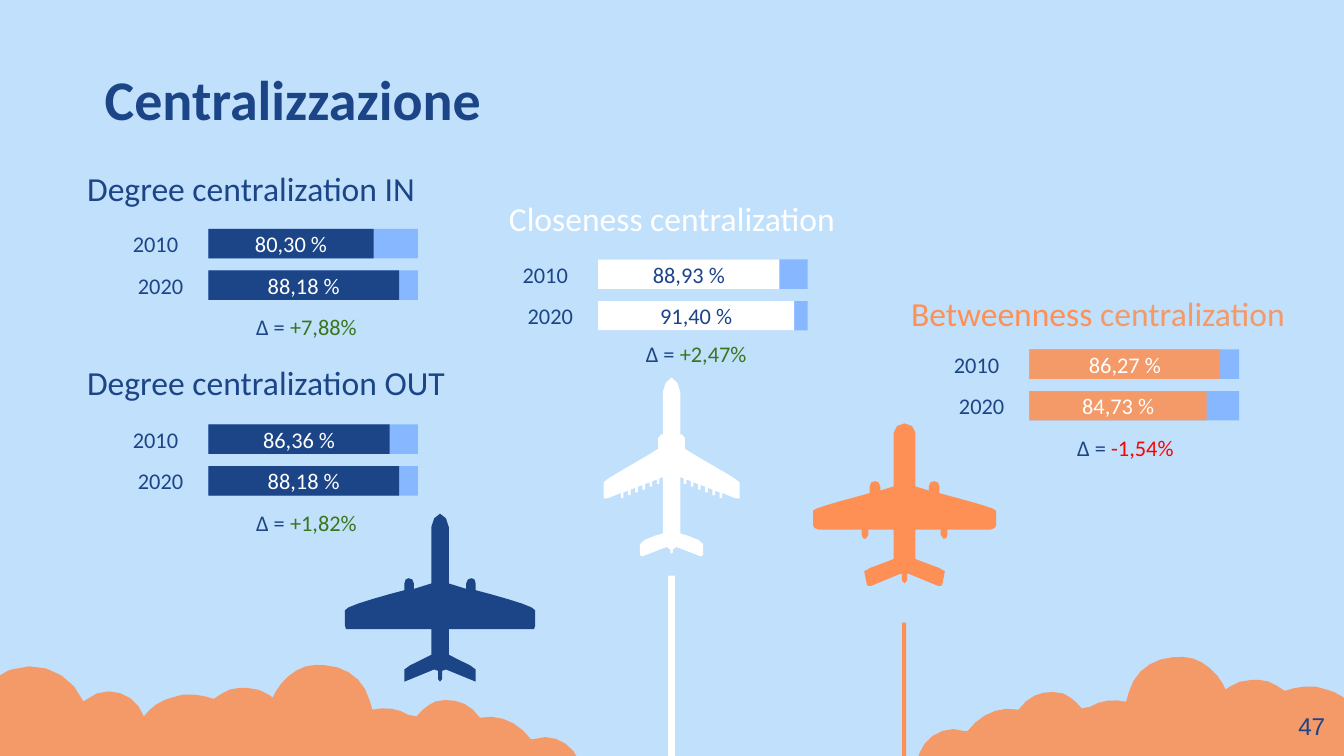
from math import cos, dist, radians, sin

from pptx import Presentation
from pptx.dml.color import RGBColor
from pptx.enum.shapes import MSO_SHAPE
from pptx.enum.text import MSO_ANCHOR, PP_ALIGN
from pptx.util import Pt

SKY, NAVY, WHITE = "C1E0FB", "1C4587", "FFFFFF"
ORANGE, PEACH, TRACK = "FF9055", "F49968", "87B7FF"
GREEN, RED = "38761D", "FF0000"
BAR_WIDTH, BAR_HEIGHT, BAR_STEP = 112.3, 15.8, 22.3

ORANGE_HALF = [
    (0, 0), (2.9, 0, 5.8, 2.2, 5.8, 5), (5.8, 33.8), (13, 36),
    (13, 33.8), (13, 31.7, 14.4, 31, 15.8, 31), (17.3, 31, 18.7, 31.7, 18.7, 33.8),
    (18.7, 37.4), (31.7, 41, 49, 45.4, 49, 46.8), (49, 54.7),
    (49, 55.4, 48.2, 56.9, 46.1, 56.9), (23, 56.9), (23, 59.8),
    (22.3, 61.5), (20.9, 61.9), (19.4, 59.8), (19.4, 56.9), (5.8, 56.9), (5.8, 72.7),
    (10.8, 74.9, 20.9, 77.8, 21.6, 79.2), (20.2, 86.4), (19.4, 87.1),
    (18, 87.1), (2.2, 80.6), (1.4, 80.6), (1.4, 84.2), (0, 85.7),
]
NAVY_HALF = [
    (0, 0), (2.2, 0, 4.7, 4.3, 4.7, 7.2), (4.7, 37.4), (14, 40.3),
    (14, 37.4), (14, 35.3, 15.5, 34.6, 16.9, 34.6), (18, 34.6, 19.1, 35.3, 19.1, 37.4),
    (19.1, 41), (32.8, 44.6, 51, 49.7, 51, 51.8), (51, 59.8), (50.4, 61.9),
    (4.7, 61.9), (4.7, 75.6), (8.3, 77.8, 19.1, 82.1, 19.1, 83.5), (19.1, 90),
    (3.2, 83.5), (1.1, 84.2), (1.1, 88.6), (0, 90),
]
FLAPS = [
    (3.85 * i + dx, 1.5 * i + dy)
    for i in reversed(range(6))
    for dx, dy in [(7.9, 54.6), (7.9, 57), (6.5, 57), (6.5, 54)]
]
WHITE_HALF = [
    (0, 0), (2.2, 0, 4.7, 5, 4.7, 7.9), (4.7, 31), (5.4, 30.2), (7.2, 32.4),
    (7.2, 38.2), (15.8, 43.9, 36.4, 54.7, 36.4, 56.2), (36.4, 64.8),
    (35.3, 64.8, 33.1, 64.8, 31, 63.4), (27.4, 61.9), *FLAPS,
    (4.7, 53.3), (4.7, 83.5), (7.6, 84.2, 16.9, 87.1, 16.9, 89.3), (16.9, 95),
    (15.8, 95.8), (2.5, 90.7), (0.7, 92.2), (0.7, 93.6), (0, 94.3),
]
CLOUD = [
    (139.7, -39.2), (141.8, -38.5), (157, -32.8, 165.6, -15.5, 160.6, 0.4),
    (120.2, 123.5), (-151.2, 34.9), (-161.3, 31.3, -167, 20.5, -164.2, 10.4),
    (-160.6, 0.4, -149.8, -5.4, -139.7, -1.8), (-138.2, -1.8),
    (-131.8, -10.4, -121.7, -15.5, -110.9, -13.3), (-105.1, -22, -95.8, -24.1, -87.1, -22),
    (-83.5, -20.5, -79.9, -17.6, -77, -14), (-72.7, -14.8),
    (-67, -18.4, -59.8, -19.1, -53.3, -17.6), (-51.8, -22.7),
    (-49, -33.5, -39.6, -40.7, -28.1, -41.4), (-24.5, -42.1, -20.9, -41.4, -17.3, -40.7),
    (-10.8, -38.5, -5, -33.5, -1.4, -27), (0, -24.1), (2.2, -25.6),
    (5, -27.7, 9.4, -29.2, 13.7, -29.2), (16.6, -29.5, 20, -29.2, 23, -28.4),
    (25.9, -27, 28.8, -25.6, 31.7, -23.4), (36.7, -24.8), (41.8, -25.6),
    (46.1, -26.3, 50.4, -25.6, 54, -24.1), (59.8, -22.7, 65.5, -19.1, 69.1, -14),
    (72.7, -24.1, 83.5, -29.9, 94.3, -26.3), (101.5, -22),
    (108, -37.1, 124.6, -44.3, 139.7, -39.2),
]


def color(code):
    return RGBColor.from_string(code)


def paint(shape, fill):
    shape.shadow.inherit = False
    shape.fill.solid()
    shape.fill.fore_color.rgb = color(fill)
    shape.line.fill.background()
    return shape


def trace(outline):
    points = []
    for part in outline:
        if len(part) == 2:
            points.append(part)
            continue
        controls = [points[-1], part[:2], part[2:4], part[4:]]
        steps = max(2, min(5, round(dist(controls[0], controls[3]) / 5)))
        for step in range(1, steps + 1):
            t = step / steps
            weights = ((1 - t) ** 3, 3 * t * (1 - t) ** 2, 3 * t * t * (1 - t), t ** 3)
            points.append(tuple(
                sum(w * c[axis] for w, c in zip(weights, controls)) for axis in (0, 1)))
    return points


def add_outline(slide, points, x, y, fill):
    corners = [(Pt(x + dx), Pt(y + dy)) for dx, dy in points]
    builder = slide.shapes.build_freeform(*corners[0], scale=1.0)
    builder.add_line_segments(corners[1:], close=True)
    return paint(builder.convert_to_shape(), fill)


def add_plane(slide, half, axis, top, fill):
    right = trace(half)
    left = [(-dx, dy) for dx, dy in reversed(right)]
    add_outline(slide, right + left[1:-1], axis, top, fill)


def add_cloud(slide, x, y, side):
    tilt = 18 * side
    c, s = cos(radians(tilt)), sin(radians(tilt))
    mirrored = [(side * dx, dy) for dx, dy in trace(CLOUD)]
    level = [(dx * c + dy * s, dy * c - dx * s) for dx, dy in mirrored]
    add_outline(slide, level, x, y, PEACH).rotation = tilt


def add_block(slide, x, y, width, height, fill):
    block = slide.shapes.add_shape(
        MSO_SHAPE.RECTANGLE, Pt(x), Pt(y), Pt(width), Pt(height))
    return paint(block, fill)


def write(shape, *runs, size=12, font="Calibri", bold=False,
          align=PP_ALIGN.LEFT, anchor=MSO_ANCHOR.TOP):
    frame = shape.text_frame
    frame.word_wrap = True
    frame.vertical_anchor = anchor
    frame.margin_left = frame.margin_right = Pt(7.2)
    frame.margin_top = frame.margin_bottom = Pt(7.2)
    paragraph = frame.paragraphs[0]
    paragraph.alignment = align
    for words, ink in runs:
        run = paragraph.add_run()
        run.text = words
        run.font.size = Pt(size)
        run.font.name = font
        run.font.bold = bold
        run.font.color.rgb = color(ink)


def add_text(slide, box, *runs, **style):
    write(slide.shapes.add_textbox(*map(Pt, box)), *runs, **style)


def add_measure(slide, x, y, bars, fill, ink, change, change_ink, change_drop=38):
    for row, (year, share, width) in enumerate(bars):
        top = y + row * BAR_STEP
        add_block(slide, x, top, BAR_WIDTH, BAR_HEIGHT, TRACK)
        add_text(slide, (x - 55.4, top, 49, BAR_HEIGHT), (year, NAVY),
                 align=PP_ALIGN.RIGHT, anchor=MSO_ANCHOR.MIDDLE)
        write(add_block(slide, x, top, width, BAR_HEIGHT, fill), (share, ink),
              align=PP_ALIGN.CENTER, anchor=MSO_ANCHOR.MIDDLE)
    add_text(slide, (x + 18.5, y + change_drop, 75.6, 27.4),
             ("Δ = ", NAVY), (change, change_ink))


def main():
    deck = Presentation()
    deck.slide_width, deck.slide_height = Pt(720), Pt(405)
    slide = deck.slides.add_slide(deck.slide_layouts[6])
    slide.background.fill.solid()
    slide.background.fill.fore_color.rgb = color(SKY)

    add_text(slide, (49, 32.4, 372, 45.4), ("Centralizzazione", NAVY),
             size=30, bold=True, anchor=MSO_ANCHOR.BOTTOM)
    add_plane(slide, ORANGE_HALF, 484.6, 226.8, ORANGE)
    add_block(slide, 483.3, 333.6, 2.2, 143, ORANGE)
    add_plane(slide, WHITE_HALF, 359.8, 202.3, WHITE)
    add_block(slide, 357.9, 308.4, 3.6, 162, WHITE)
    add_plane(slide, NAVY_HALF, 235.8, 275.2, NAVY)
    add_cloud(slide, 656.6, 393.5, 1)
    add_cloud(slide, 146.2, 397.8, -1)

    add_text(slide, (252, 98.6, 216, 51), ("Closeness centralization", WHITE),
             size=18, align=PP_ALIGN.CENTER)
    add_text(slide, (481, 149.8, 262, 30), ("Betweenness ", ORANGE),
             ("centralization", PEACH), size=18)
    add_text(slide, (39.6, 82.8, 220, 51), ("Degree centralization IN", NAVY), size=18)
    add_text(slide, (39.6, 186.5, 230, 51), ("Degree centralization OUT", NAVY), size=18)

    add_measure(slide, 320.4, 139, [("2010 ", "88,93 %", 97.2), ("2020", "91,40 %", 105.1)],
                WHITE, NAVY, "+2,47%", GREEN, change_drop=36)
    add_measure(slide, 551.5, 187.2, [("2010 ", "86,27 %", 102.2), ("2020", "84,73 %", 95)],
                PEACH, WHITE, "-1,54%", RED)
    add_measure(slide, 111.6, 122.6, [("2010 ", "80,30 %", 88.6), ("2020", "88,18 %", 102.2)],
                NAVY, WHITE, "+7,88%", GREEN)
    add_measure(slide, 111.6, 227.4, [("2010 ", "86,36 %", 97.2), ("2020", "88,18 %", 102.2)],
                NAVY, WHITE, "+1,82%", GREEN)
    add_text(slide, (674, 373.7, 43, 31), ("47", NAVY),
             size=13, font="Arial", align=PP_ALIGN.RIGHT)
    deck.save("out.pptx")


if __name__ == "__main__":
    main()
